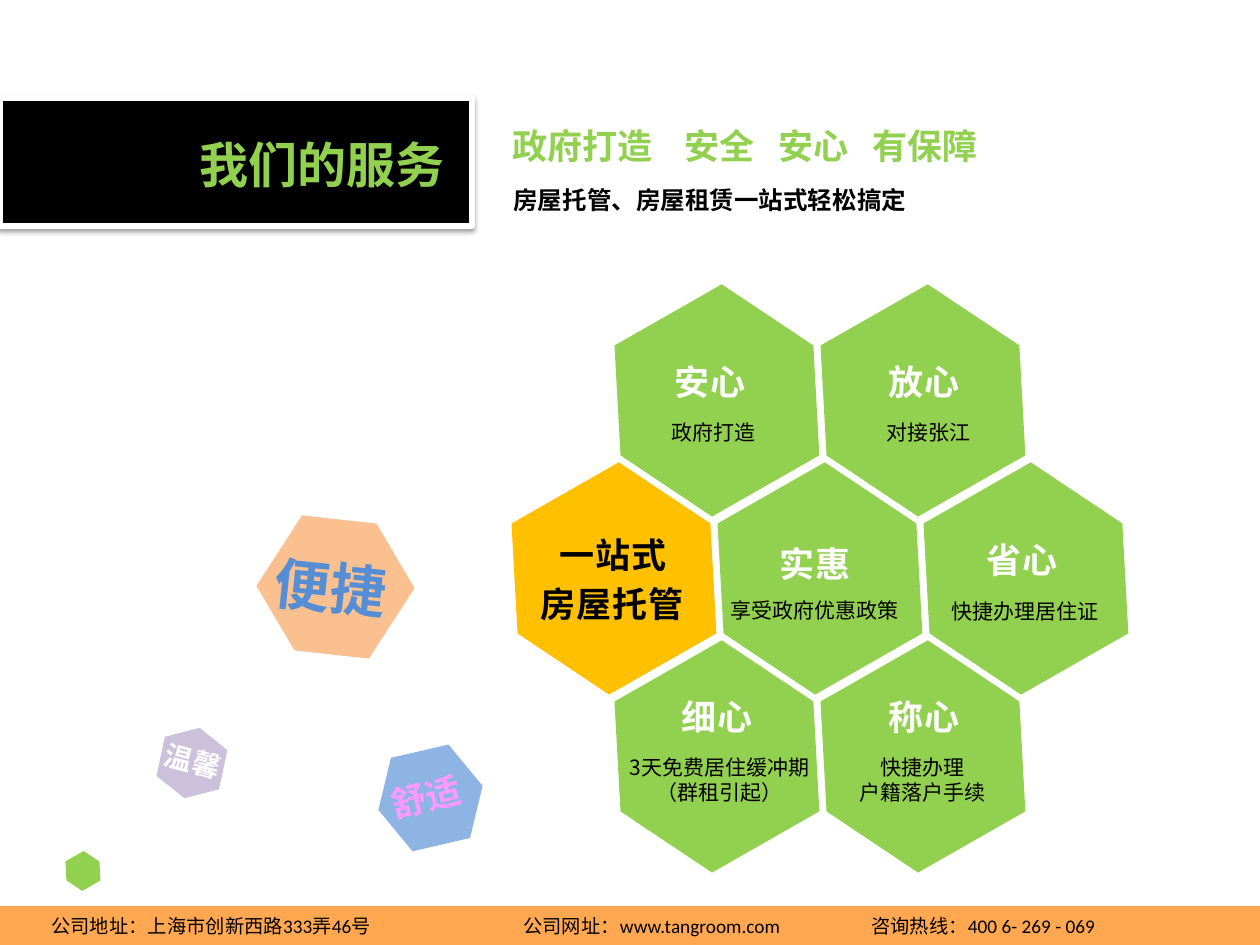
from lxml import etree
from pptx import Presentation
from pptx.dml.color import RGBColor
from pptx.enum.shapes import MSO_SHAPE
from pptx.enum.text import MSO_ANCHOR, MSO_AUTO_SIZE, PP_ALIGN
from pptx.oxml.ns import qn
from pptx.util import Pt

PX = 914400 / 126
HEXAGON, RECTANGLE = MSO_SHAPE.HEXAGON, MSO_SHAPE.RECTANGLE
LEFT, CENTER = PP_ALIGN.LEFT, PP_ALIGN.CENTER
LATIN, HEADING, DETAIL = "Calibri", "Noto Sans CJK SC", "Noto Sans CJK JP"
COLORS = {
    "green": "92D050", "gold": "FFC000", "black": "000000", "white": "FFFFFF",
    "label": "FFFEFE", "outline": "E78738", "footer": "FF9933",
    "lilac": "CCC1DA", "sky": "8EB4E3", "peach": "FAC090",
    "pink": "FF99FF", "blue": "558ED5",
}


def emu(pixels):
    return round(pixels * PX)


def rgb(name):
    return RGBColor.from_string(COLORS[name])


def add_color(parent, name, alpha=None):
    color = etree.SubElement(parent, qn("a:srgbClr"), val=COLORS[name])
    if alpha is not None:
        etree.SubElement(color, qn("a:alpha"), val=str(alpha * 1000))


class SlideBuilder:
    def __init__(self, presentation):
        self.slide = presentation.slides.add_slide(presentation.slide_layouts[5])

    def shape(self, kind, box, fill, rotation=0, alpha=None):
        shape = self.slide.shapes.add_shape(kind, *map(emu, box))
        shape.shadow.inherit = False
        shape.rotation = rotation
        shape.fill.solid()
        shape.fill.fore_color.rgb = rgb(fill)
        shape.line.fill.background()
        if alpha is not None:
            color = shape.element.spPr.find(qn("a:solidFill"))[0]
            etree.SubElement(color, qn("a:alpha"), val=str(alpha * 1000))
        return shape

    def framed_banner(self, box):
        banner = self.shape(RECTANGLE, box, "black")
        banner.line.color.rgb = rgb("white")
        banner.line.width = Pt(3)
        effects = banner.element.spPr.find(qn("a:effectLst"))
        shadow = etree.SubElement(
            effects, qn("a:outerShdw"), blurRad=str(Pt(3.1)), dist=str(Pt(1.6)),
            dir="5400000", algn="t", rotWithShape="0")
        add_color(shadow, "black", 38)
        return banner

    def run(self, paragraph, text, size, font, color, bold=False, spacing=0, outline=None):
        """Add one run; outline is a (colour name, width in points) pair."""
        run = paragraph.add_run()
        run.text = text
        run.font.size = Pt(size)
        run.font.bold = bold
        run.font.color.rgb = rgb(color)
        run.font.name = font
        properties = run.font._element if hasattr(run.font, "_element") else run._r.get_or_add_rPr()
        east_asian = HEADING if font == LATIN else font
        etree.SubElement(properties, qn("a:ea"), typeface=east_asian)
        if spacing:
            properties.set("spc", str(round(spacing * 100)))
        if outline:
            line = etree.Element(qn("a:ln"), w=str(Pt(outline[1])))
            add_color(etree.SubElement(line, qn("a:solidFill")), outline[0])
            properties.insert(0, line)

    def fill_frame(self, frame, lines, align, wrap, tabs, style):
        """Write lines, each a string or a list of (text, font) runs."""
        frame.word_wrap = wrap
        frame.auto_size = MSO_AUTO_SIZE.SHAPE_TO_FIT_TEXT
        frame.vertical_anchor = MSO_ANCHOR.TOP
        for index, line in enumerate(lines):
            paragraph = frame.add_paragraph() if index else frame.paragraphs[0]
            paragraph.alignment = align
            if tabs:
                tab_list = etree.SubElement(
                    paragraph._p.get_or_add_pPr(), qn("a:tabLst"))
                for position in tabs:
                    etree.SubElement(tab_list, qn("a:tab"), pos=str(emu(position)), algn="l")
            runs = [(line, style["font"])] if isinstance(line, str) else line
            for text, font in runs:
                self.run(paragraph, text, **{**style, "font": font})

    def text(self, box, lines, rotation=0, align=LEFT, wrap=False, tabs=(), **style):
        text_box = self.slide.shapes.add_textbox(*map(emu, box))
        text_box.rotation = rotation
        self.fill_frame(text_box.text_frame, lines, align, wrap, tabs, style)

    def title(self, box, text, above, **style):
        """Place the title placeholder directly in front of the shape above which it sits."""
        title = self.slide.shapes.title
        title.left, title.top, title.width, title.height = map(emu, box)
        self.fill_frame(title.text_frame, [text], LEFT, True, (), style)
        above.element.addnext(title.element)

    def label(self, left, top, width, text, color="label"):
        self.text((left, top, width, 55), [text], size=20, font=HEADING, color=color,
                  bold=True, spacing=0.5, outline=("outline", 1))

    def detail(self, box, lines, wrap=False):
        align = CENTER if len(lines) > 1 else LEFT
        self.text(box, lines, align=align, wrap=wrap, size=12, font=DETAIL, color="black")


def main():
    presentation = Presentation()
    presentation.slide_width, presentation.slide_height = emu(1260), emu(945)
    builder = SlideBuilder(presentation)

    builder.text((500, 118, 520, 55), ["政府打造\t安全\t安心\t有保障"], tabs=(172, 266, 360),
                 size=20, font=HEADING, color="green", bold=True)
    builder.text((501, 179, 421, 43), ["房屋托管、房屋租赁一站式轻松搞定"],
                 size=14, font=LATIN, color="black", bold=True, outline=("black", 0.71))
    banner = builder.framed_banner((0, 98, 472, 128))
    builder.title((187, 128, 286, 72), "我们的服务", banner,
                  size=28, font=LATIN, color="green", bold=True)

    builder.shape(RECTANGLE, (0, 906, 1260, 39), "footer", alpha=85)
    footer = [("公司地址：", HEADING), ("上海市创新西路333弄46号\t", LATIN),
              ("公司网址：", HEADING), ("www.tangroom.com\t", LATIN),
              ("咨询热线：", HEADING), ("400 6- 269 - 069", LATIN)]
    builder.text((39, 908, 1201, 37), [footer], wrap=True, tabs=(472, 820),
                 size=11, font=LATIN, color="black")

    # Honeycomb cells as (half-column, row)
    for column, row in ((1, 0), (3, 0), (0, 1), (2, 1), (4, 1), (1, 2), (3, 2)):
        fill = "gold" if column == 0 else "green"
        builder.shape(HEXAGON, (503 + 103 * column, 302 + 178 * row, 222, 197), fill, 330.3)

    for left, top, text in (
            (662, 354, "安心"), (876, 354, "放心"), (767, 536, "实惠"),
            (974, 532, "省心"), (669, 689, "细心"), (876, 689, "称心")):
        builder.label(left, top, 98, text)
    builder.label(547, 527, 135, "一站式", "black")
    builder.label(528, 576, 171, "房屋托管", "black")

    builder.detail((659, 413, 111, 38), ["政府打造"])
    builder.detail((874, 413, 111, 38), ["对接张江"])
    builder.detail((718, 591, 195, 38), ["享受政府优惠政策"])
    builder.detail((939, 592, 174, 38), ["快捷办理居住证"])
    builder.detail((611, 748, 217, 63), ["3天免费居住缓冲期", "（群租引起）"], wrap=True)
    builder.detail((847, 748, 152, 63), ["快捷办理", "户籍落户手续"])

    for box, fill, rotation in (
            ((64, 854, 38, 34), "green", 330.3), ((156, 731, 72, 64), "lilac", 282),
            ((377, 750, 107, 96), "sky", 347), ((260, 520, 151, 134), "peach", 302.9)):
        builder.shape(HEXAGON, box, fill, rotation)
    for box, text, rotation, size, color, spacing in (
            ((152, 738, 84, 47), "温馨", 15, 16, "white", 0.5),
            ((379, 769, 97, 55), "舒适", 345.5, 20, "pink", 0),
            ((262, 547, 139, 81), "便捷", 5.9, 32, "blue", 0)):
        builder.text(box, [text], rotation, size=size, font=HEADING, color=color,
                     bold=True, spacing=spacing)

    presentation.save("out.pptx")


if __name__ == "__main__":
    main()
